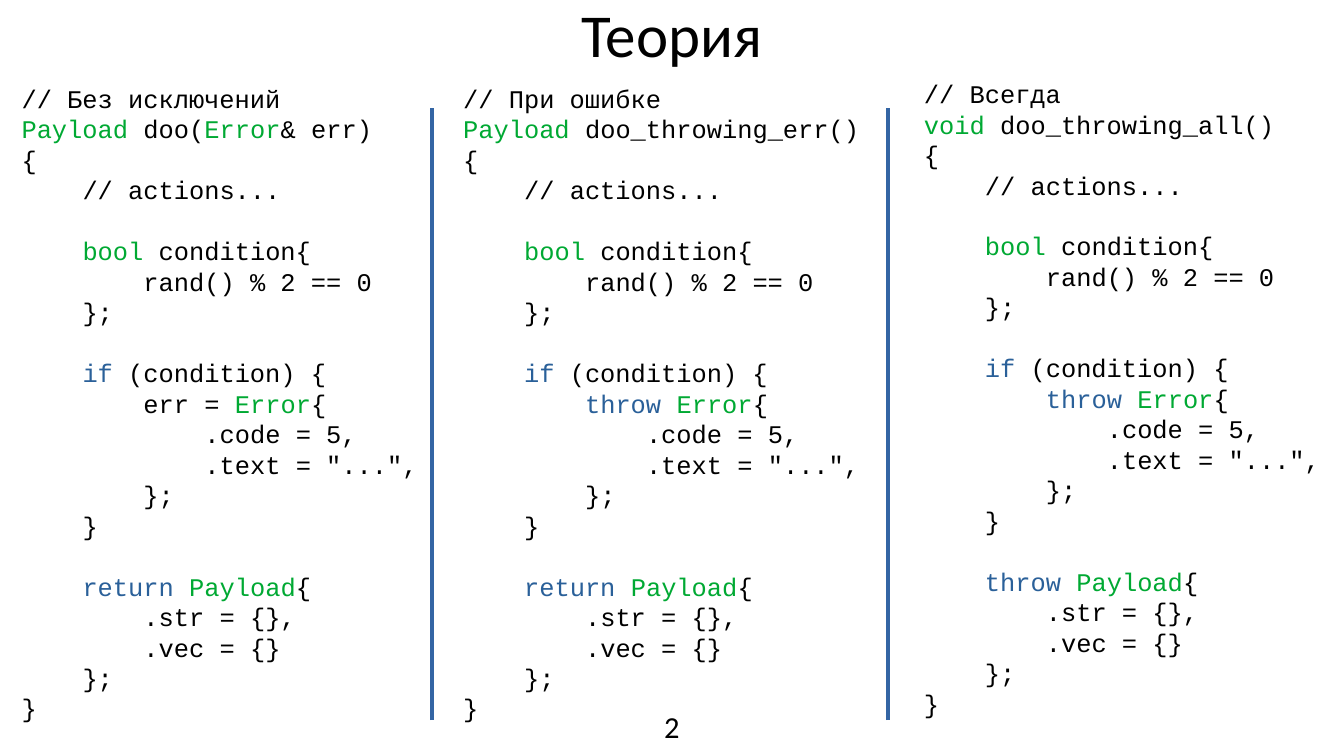
from itertools import groupby

from lxml import etree
from pptx import Presentation
from pptx.dml.color import RGBColor
from pptx.enum.shapes import MSO_CONNECTOR
from pptx.enum.text import MSO_ANCHOR, PP_ALIGN
from pptx.oxml.ns import qn
from pptx.util import Cm, Pt

LEFT, CENTER = PP_ALIGN.LEFT, PP_ALIGN.CENTER
TOP, MIDDLE = MSO_ANCHOR.TOP, MSO_ANCHOR.MIDDLE
STRAIGHT = MSO_CONNECTOR.STRAIGHT

SLIDE_WIDTH, SLIDE_HEIGHT = 28, 15.75
COLUMN_WIDTH, COLUMN_HEIGHT = 9, 13.36

TYPES = {"Payload", "Error", "void", "bool"}
KEYWORDS = {"if", "throw", "return"}

CODE = """// {comment}
{signature}
{{
    // actions...

    bool condition{{
        rand() % 2 == 0
    }};

    if (condition) {{
        {failure} Error{{
            .code = 5,
            .text = "...",
        }};
    }}

    {result} Payload{{
        .str = {{}},
        .vec = {{}}
    }};
}}"""

# left, top, comment, signature, failure, result
COLUMNS = [
    (0.2, 1.6, "Без исключений", "Payload doo(Error& err)", "err =", "return"),
    (9.4, 1.6, "При ошибке", "Payload doo_throwing_err()", "throw", "return"),
    (19, 1.5, "Всегда", "void doo_throwing_all()", "throw", "throw"),
]
DIVIDERS = [9, 18.5]


def color(value):
    return RGBColor.from_string(value)


class SlideBuilder:
    text_font, code_font = "Calibri", "Courier New"
    text_color, type_color, keyword_color = "000000", "00A933", "2A6099"
    line_color = "3465A4"
    code_size, code_spacing = Pt(15), Pt(18)
    indent_spaces, indent_width = 4, Cm(1.27)

    def __init__(self, slide):
        self.slide = slide

    def add_run(self, paragraph, text, font, size, fill):
        run = paragraph.add_run()
        run.text = text
        run.font.name = font
        run.font.size = size
        run.font.color.rgb = color(fill)

    def add_frame(self, left, top, width, height, anchor, margins=(0, 0)):
        shape = self.slide.shapes.add_textbox(Cm(left), Cm(top), Cm(width), Cm(height))
        frame = shape.text_frame
        frame.word_wrap = True
        frame.vertical_anchor = anchor
        frame.margin_left = frame.margin_right = Cm(margins[0])
        frame.margin_top = frame.margin_bottom = Cm(margins[1])
        return frame

    def add_label(self, text, left, top, width, height, size):
        paragraph = self.add_frame(left, top, width, height, MIDDLE).paragraphs[0]
        paragraph.alignment = CENTER
        self.add_run(paragraph, text, self.text_font, Pt(size), self.text_color)

    def token_color(self, token):
        if token in TYPES:
            return self.type_color
        return self.keyword_color if token in KEYWORDS else self.text_color

    def add_code_line(self, paragraph, line, gap_before):
        code = line.lstrip()
        level = (len(line) - len(code)) // self.indent_spaces
        properties = paragraph._p.get_or_add_pPr()
        properties.set("marL", str(level * self.indent_width))
        properties.set("indent", "0")
        paragraph.alignment = LEFT
        paragraph.line_spacing = self.code_spacing
        paragraph.space_before = self.code_spacing if gap_before else Pt(0)
        # Split into words and separators, then join neighbours of one colour
        tokens = ["".join(group) for _, group in
                  groupby(code, lambda char: char.isalnum() or char == "_")]
        for fill, group in groupby(tokens, self.token_color):
            self.add_run(paragraph, "".join(group), self.code_font, self.code_size, fill)

    def add_code(self, code, left, top):
        frame = self.add_frame(left, top, COLUMN_WIDTH, COLUMN_HEIGHT, TOP, (0.25, 0.13))
        paragraph, gap_before = frame.paragraphs[0], False
        for number, line in enumerate(code.splitlines()):
            if line:
                if number:
                    paragraph = frame.add_paragraph()
                self.add_code_line(paragraph, line, gap_before)
            gap_before = not line

    def add_divider(self, x, top, bottom):
        connector = self.slide.shapes.add_connector(STRAIGHT, Cm(x), Cm(bottom), Cm(x), Cm(top))
        connector.line.color.rgb = color(self.line_color)
        connector.line.width = Pt(0)
        etree.SubElement(connector._element.spPr, qn("a:effectLst"))


def main():
    presentation = Presentation()
    presentation.slide_width = Cm(SLIDE_WIDTH)
    presentation.slide_height = Cm(SLIDE_HEIGHT)
    builder = SlideBuilder(presentation.slides.add_slide(presentation.slide_layouts[6]))

    # Title
    builder.add_label("Теория", 1, -0.13, 26, 1.63, 36)

    # Code columns
    for left, top, comment, signature, failure, result in COLUMNS:
        code = CODE.format(comment=comment, signature=signature, failure=failure, result=result)
        builder.add_code(code, left, top)

    # Dividers between the columns
    for x in DIVIDERS:
        builder.add_divider(x, 2.24, 15)

    # Page number
    builder.add_label("2", 0, 14.5, SLIDE_WIDTH, 1.25, 18)

    presentation.save("out.pptx")


if __name__ == "__main__":
    main()
